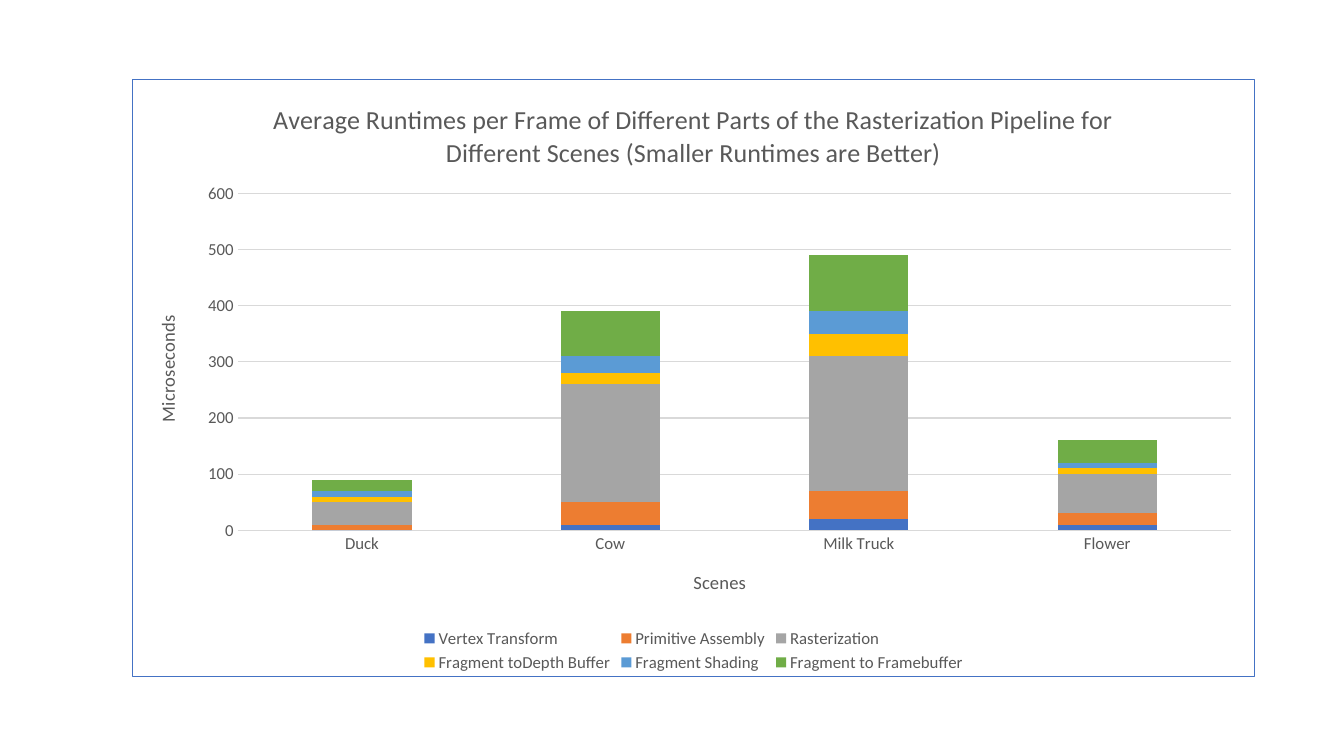
from dataclasses import dataclass

from lxml import etree
from pptx import Presentation
from pptx.chart.data import CategoryChartData
from pptx.dml.color import RGBColor
from pptx.enum.chart import XL_CHART_TYPE, XL_LEGEND_POSITION, XL_TICK_MARK
from pptx.util import Pt

STACKED = XL_CHART_TYPE.COLUMN_STACKED
BOTTOM = XL_LEGEND_POSITION.BOTTOM
NO_TICKS = XL_TICK_MARK.NONE

# Content
TITLE = ("Average Runtimes per Frame of Different Parts of the Rasterization "
         "Pipeline for Different Scenes (Smaller Runtimes are Better)")
SCENE_TITLE = "Scenes"
RUNTIME_TITLE = "Microseconds"
SCENES = ["Duck", "Cow", "Milk Truck", "Flower"]
STAGES = [  # name, microseconds per scene, colour
    ("Vertex Transform", (0, 10, 20, 10), "4472C4"),
    ("Primitive Assembly", (10, 40, 50, 20), "ED7D31"),
    ("Rasterization", (40, 210, 240, 70), "A5A5A5"),
    ("Fragment toDepth Buffer", (10, 20, 40, 10), "FFC000"),
    ("Fragment Shading", (10, 30, 40, 10), "5B9BD5"),
    ("Fragment to Framebuffer", (20, 80, 100, 40), "70AD47"),
]


@dataclass(frozen=True)
class Theme:
    font: str = "Calibri"
    text: str = "595959"
    grid: str = "D9D9D9"
    border: str = "4472C4"
    title_size: float = 18.6
    axis_title_size: float = 13.3
    label_size: float = 12
    line_width: float = 0.75


THEME = Theme()

# Geometry in points on the slide: left, top, width, height
CHART_BOX = (94.5, 56.5, 802, 427)
PLOT_BOX = (169.5, 138, 710.5, 241)

CHART_NS = "http://schemas.openxmlformats.org/drawingml/2006/chart"
DRAWING_NS = "http://schemas.openxmlformats.org/drawingml/2006/main"


def style_font(font, size):
    font.name = THEME.font
    font.size = Pt(size)
    font.bold = False
    font.color.rgb = RGBColor.from_string(THEME.text)


def write_title(owner, text, size):
    """Give a chart or an axis a title."""
    frame = (owner.chart_title if hasattr(owner, "chart_title")
             else owner.axis_title).text_frame
    frame.text = text
    style_font(frame.paragraphs[0].runs[0].font, size)


def style_line(line, colour):
    line.color.rgb = RGBColor.from_string(colour)
    line.width = Pt(THEME.line_width)


def place_plot(chart, chart_box, plot_box):
    """Fix the inner plot area, given as shares of the chart."""
    left, top, width, height = chart_box
    plot_left, plot_top, plot_width, plot_height = plot_box
    settings = {
        "layoutTarget": "inner", "xMode": "edge", "yMode": "edge",
        "x": (plot_left - left) / width, "y": (plot_top - top) / height,
        "w": plot_width / width, "h": plot_height / height,
    }
    plot_area = chart._chartSpace.chart.plotArea
    for old in plot_area.findall(f"{{{CHART_NS}}}layout"):
        plot_area.remove(old)
    layout = etree.Element(f"{{{CHART_NS}}}layout")
    manual = etree.SubElement(layout, f"{{{CHART_NS}}}manualLayout")
    for tag, value in settings.items():
        etree.SubElement(manual, f"{{{CHART_NS}}}{tag}", val=str(value))
    plot_area.insert(0, layout)


def frame_chart(chart, colour):
    """Draw a border around the whole chart."""
    width = int(Pt(THEME.line_width))
    border = etree.fromstring(
        f'<c:spPr xmlns:c="{CHART_NS}" xmlns:a="{DRAWING_NS}"><a:noFill/>'
        f'<a:ln w="{width}"><a:solidFill><a:srgbClr val="{colour}"/>'
        "</a:solidFill></a:ln></c:spPr>")
    chart._chartSpace.chart.addnext(border)


# Slide
deck = Presentation()
deck.slide_width, deck.slide_height = Pt(960), Pt(540)
page = deck.slides.add_slide(deck.slide_layouts[6])

# Chart and its stages
data = CategoryChartData()
data.categories = SCENES
for name, runtimes, _ in STAGES:
    data.add_series(name, runtimes)
chart = page.shapes.add_chart(STACKED, *map(Pt, CHART_BOX), data).chart
style_font(chart.font, THEME.label_size)
plot = chart.plots[0]
plot.gap_width, plot.overlap = 150, 100
plot.vary_by_categories = False
for series, (_, _, colour) in zip(plot.series, STAGES):
    series.format.fill.solid()
    series.format.fill.fore_color.rgb = RGBColor.from_string(colour)

# Titles and axes
write_title(chart, TITLE, THEME.title_size)
scene_axis, runtime_axis = chart.category_axis, chart.value_axis
for axis, text in ((scene_axis, SCENE_TITLE), (runtime_axis, RUNTIME_TITLE)):
    write_title(axis, text, THEME.axis_title_size)
    style_font(axis.tick_labels.font, THEME.label_size)
    axis.major_tick_mark = axis.minor_tick_mark = NO_TICKS
style_line(scene_axis.format.line, THEME.grid)
runtime_axis.format.line.fill.background()
style_line(runtime_axis.major_gridlines.format.line, THEME.grid)
runtime_axis.minimum_scale, runtime_axis.maximum_scale = 0, 600
runtime_axis.major_unit = 100

# Legend and frame
chart.has_legend = True
chart.legend.position = BOTTOM
chart.legend.include_in_layout = False
style_font(chart.legend.font, THEME.label_size)
place_plot(chart, CHART_BOX, PLOT_BOX)
frame_chart(chart, THEME.border)

deck.save("out.pptx")
